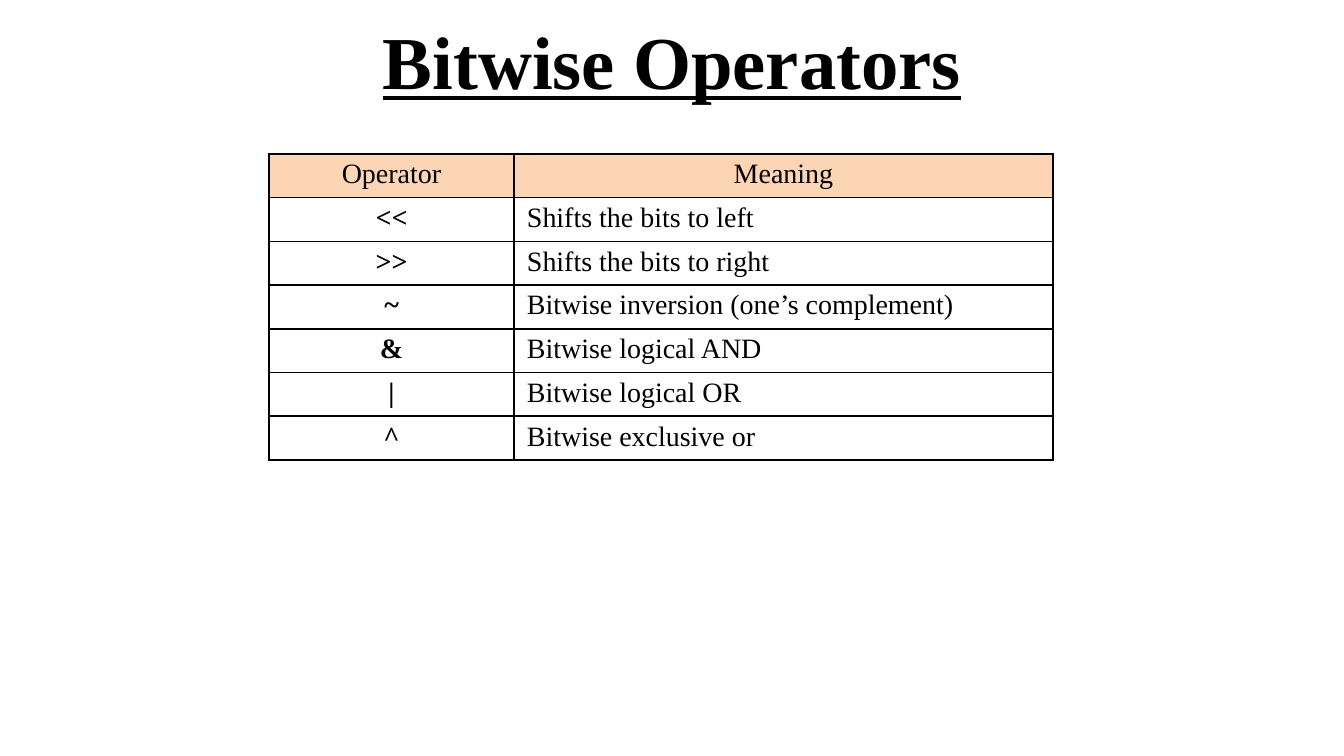
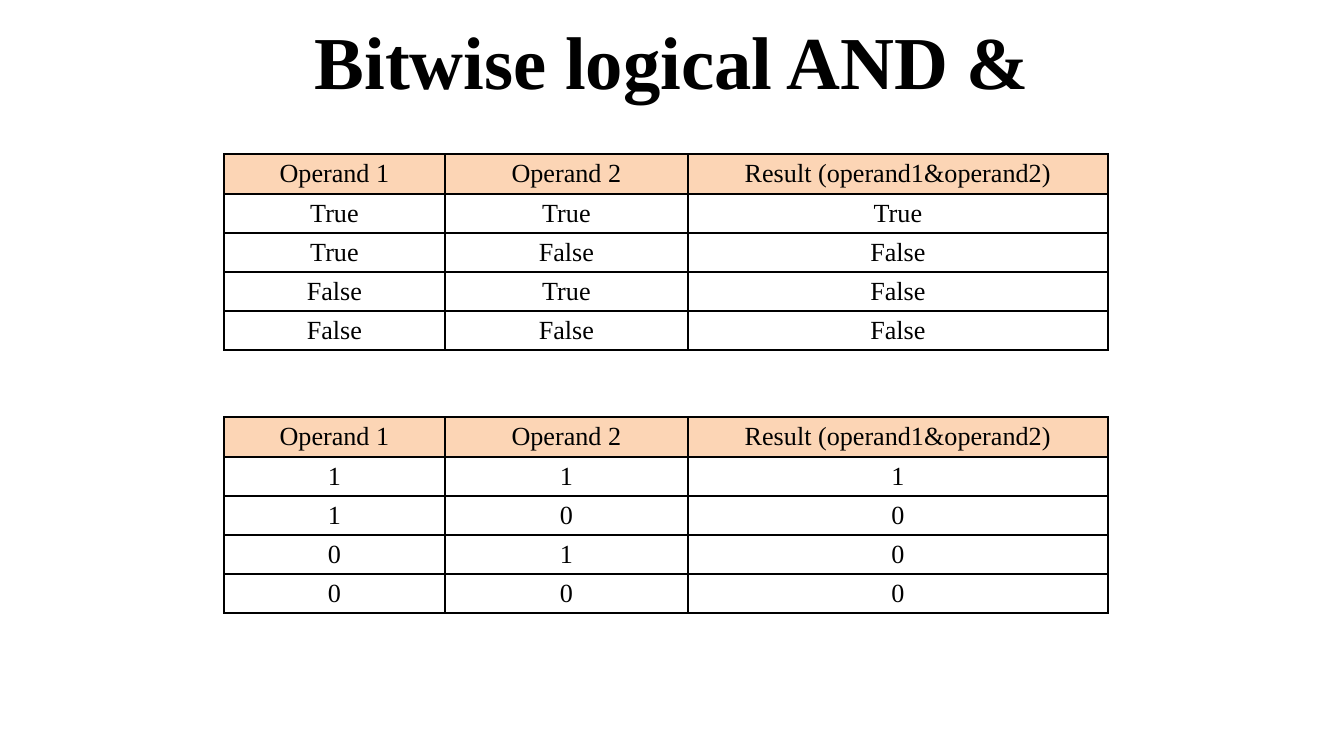
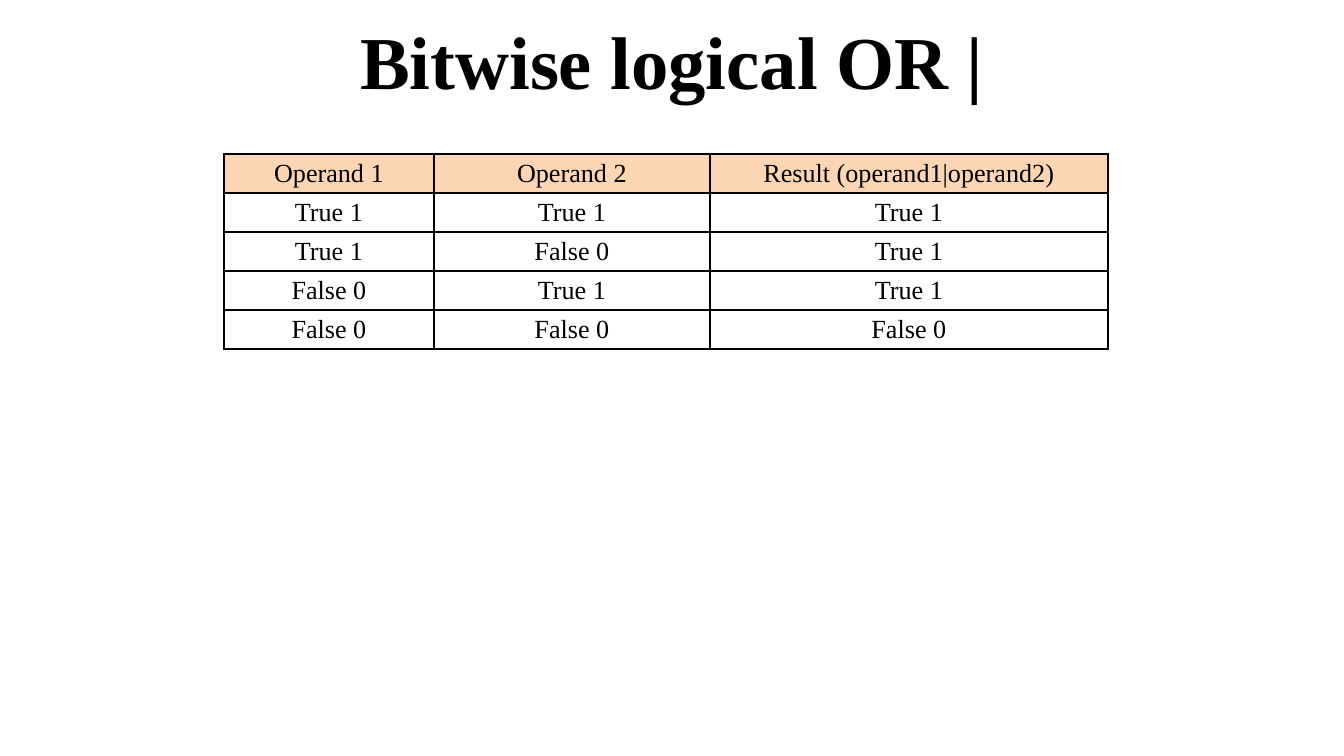
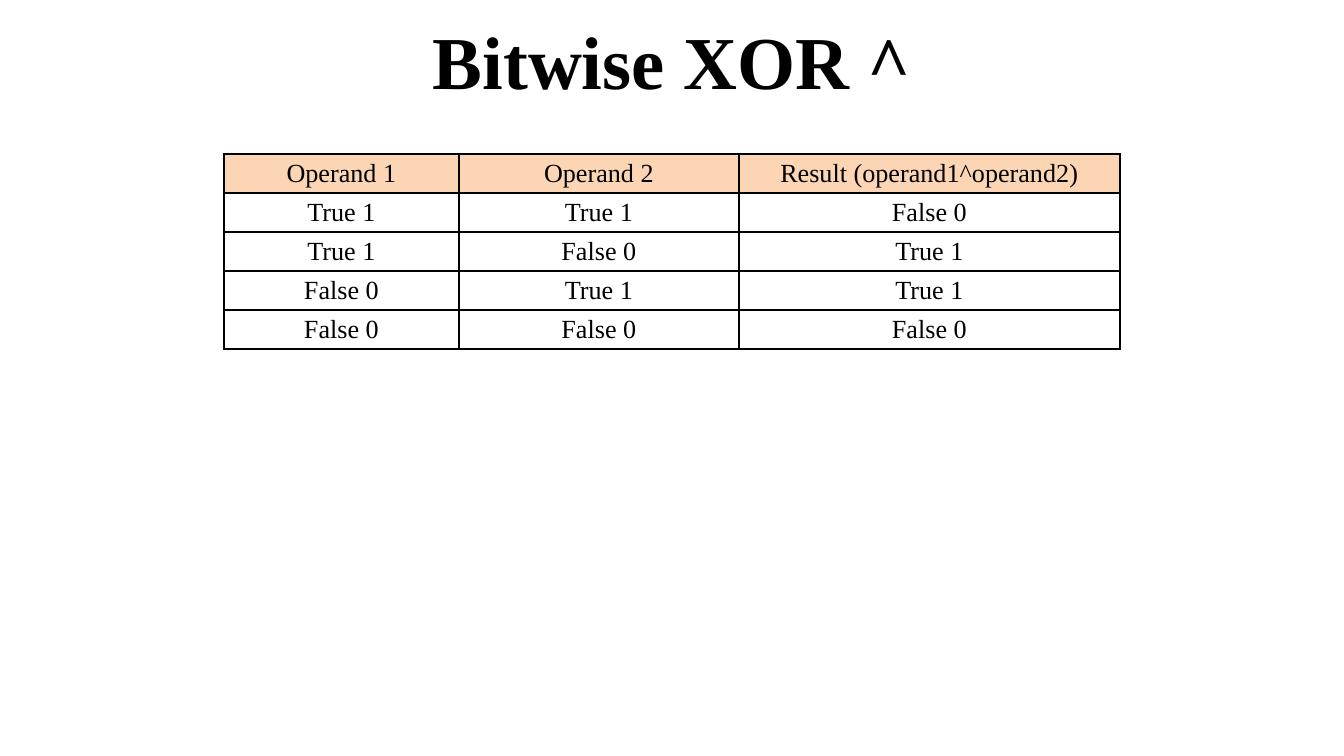
from dataclasses import dataclass
from itertools import product

from lxml.etree import SubElement
from pptx import Presentation
from pptx.dml.color import RGBColor as Rgb
from pptx.enum.text import MSO_ANCHOR as Anchor, PP_ALIGN as Align
from pptx.oxml.ns import qn
from pptx.util import Pt

PX = 914400 / 134.4  # EMU in one pixel


@dataclass(frozen=True)
class Theme:
    """Colours, font and type sizes shared by all slides."""
    font: str = "Times New Roman"
    ink: str = "000000"
    header: str = "FCD5B5"
    title_size: int = 40
    operator_size: int = 15
    truth_size: int = 14
    border: int = 1


THEME = Theme()


def write(frame, text, *, size, bold=False, underline=False, align=Align.CENTER):
    """Put one formatted paragraph into a text frame."""
    paragraph = frame.paragraphs[0]
    paragraph.alignment = align
    run = paragraph.add_run()
    run.text = text
    font = run.font
    font.name, font.size = THEME.font, Pt(size)
    font.bold, font.underline = bold, underline
    font.color.rgb = Rgb.from_string(THEME.ink)


def add_grid(slide, rows, *, left, top, widths, heights, size, operators=False):
    """Add a ruled table whose first row is a tinted header."""
    box = [round(v * PX) for v in (left, top, sum(widths), sum(heights))]
    table = slide.shapes.add_table(len(rows), len(widths), *box).table
    table.first_row = table.horz_banding = False
    for column, width in zip(table.columns, widths):
        column.width = round(width * PX)
    for row, height in zip(table.rows, heights):
        row.height = round(height * PX)

    for r, c in product(range(len(rows)), range(len(widths))):
        cell = table.cell(r, c)
        cell.margin_left = cell.margin_right = round(13 * PX)
        cell.margin_top = cell.margin_bottom = round(5 * PX)
        for side in ("a:lnL", "a:lnR", "a:lnT", "a:lnB"):
            line = SubElement(cell._tc.get_or_add_tcPr(), qn(side), w=str(Pt(THEME.border)))
            SubElement(SubElement(line, qn("a:solidFill")), qn("a:srgbClr"), val=THEME.ink)
        if r == 0:
            cell.fill.solid()
            cell.fill.fore_color.rgb = Rgb.from_string(THEME.header)
        else:
            cell.fill.background()
        body = operators and r > 0
        write(cell.text_frame, rows[r][c], size=size, bold=body and c == 0,
              align=Align.LEFT if body and c == 1 else Align.CENTER)


deck = Presentation()
deck.slide_width, deck.slide_height = round(1344 * PX), round(756 * PX)

# One titled slide per topic
titles = ["Bitwise Operators", "Bitwise logical AND &", "Bitwise logical OR |", "Bitwise XOR ^"]
slides = []
for title in titles:
    slide = deck.slides.add_slide(deck.slide_layouts[5])
    heading = slide.shapes.title
    heading.left, heading.top, heading.width, heading.height = (
        round(v * PX) for v in (67, -3, 1210, 126))
    heading.text_frame.vertical_anchor = Anchor.MIDDLE
    write(heading.text_frame, title, size=THEME.title_size, bold=True,
          underline=title == titles[0])
    slides.append(slide)
overview, and_slide, or_slide, xor_slide = slides

# Operator overview
meanings = [
    ("Operator", "Meaning"),
    ("<<", "Shifts the bits to left"),
    (">>", "Shifts the bits to right"),
    ("~", "Bitwise inversion (one’s complement)"),
    ("&", "Bitwise logical AND"),
    ("|", "Bitwise logical OR"),
    ("^", "Bitwise exclusive or"),
]
add_grid(overview, meanings, left=269, top=154, widths=(245, 539),
         heights=[306 / len(meanings)] * len(meanings),
         size=THEME.operator_size, operators=True)

# Truth tables: slide, symbol, operation, labels of 0 and 1, top, widths, header height
words, digits, both = ("False", "True"), ("0", "1"), ("False 0", "True 1")
and_widths = (221, 243, 420)
truth_tables = [
    (and_slide, "&", lambda a, b: a & b, words, 154, and_widths, 40),
    (and_slide, "&", lambda a, b: a & b, digits, 417, and_widths, 40),
    (or_slide, "|", lambda a, b: a | b, both, 154, (210, 276, 398), 39),
    (xor_slide, "^", lambda a, b: a ^ b, both, 154, (235, 280, 381), 39),
]
for slide, symbol, operation, labels, top, widths, header_height in truth_tables:
    rows = [("Operand 1", "Operand 2", f"Result (operand1{symbol}operand2)")]
    for a, b in product((1, 0), repeat=2):
        rows.append((labels[a], labels[b], labels[operation(a, b)]))
    add_grid(slide, rows, left=224, top=top, widths=widths,
             heights=[header_height] + [39] * 4, size=THEME.truth_size)

deck.save("out.pptx")
